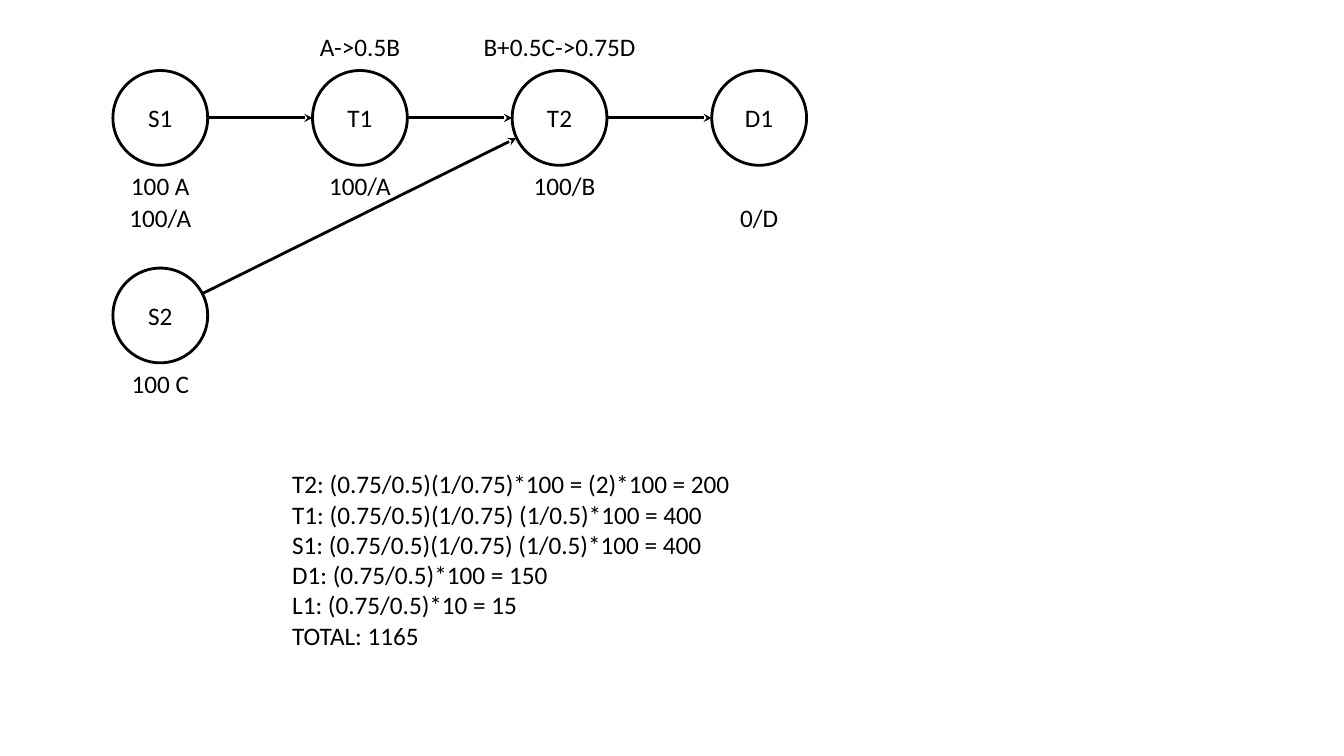
from pptx import Presentation
from pptx import util as u
from pptx.dml.color import RGBColor
from pptx.enum import shapes, text
from pptx.oxml.ns import qn
from lxml import etree

COLORS = {"ink": "000000", "paper": "FFFFFF"}
DIAMETER = 0.94
COLUMNS = [1.12 + 1.98 * column for column in range(4)]
TOP_ROW, BOTTOM_ROW = 0.7, 2.66
LABEL_HEIGHT = 0.4


class FlowSlide:
    font = {"name": "Calibri", "size": u.Pt(18)}
    line_width = u.Pt(2)

    def __init__(self, slide):
        self.slide = slide

    def color(self, name):
        return RGBColor.from_string(COLORS[name])

    def stroke(self, line):
        line.color.rgb = self.color("ink")
        line.width = self.line_width

    def set_text(self, shape, lines, align, anchor):
        frame = shape.text_frame
        settings = {"text": "\n".join(lines), "word_wrap": True, "vertical_anchor": anchor}
        for name, value in settings.items():
            setattr(frame, name, value)
        for paragraph in frame.paragraphs:
            paragraph.alignment = align
            for run in paragraph.runs:
                for name, value in self.font.items():
                    setattr(run.font, name, value)
                run.font.color.rgb = self.color("ink")

    def node(self, name, left, top):
        shape = self.slide.shapes.add_shape(
            shapes.MSO_SHAPE.OVAL, *map(u.Inches, (left, top, DIAMETER, DIAMETER)))
        shape.shadow.inherit = False
        shape.fill.solid()
        shape.fill.fore_color.rgb = self.color("paper")
        self.stroke(shape.line)
        self.set_text(shape, [name], text.PP_ALIGN.CENTER, text.MSO_ANCHOR.MIDDLE)

    def arrow(self, *ends):
        connector = self.slide.shapes.add_connector(
            shapes.MSO_CONNECTOR.STRAIGHT, *map(u.Inches, ends))
        self.stroke(connector.line)
        properties = connector._element.spPr
        etree.SubElement(properties.find(qn("a:ln")), qn("a:tailEnd"), type="stealth")
        etree.SubElement(properties, qn("a:effectLst"))

    def label(self, lines, left, top, width, height=LABEL_HEIGHT,
              align=text.PP_ALIGN.CENTER):
        box = self.slide.shapes.add_textbox(*map(u.Inches, (left, top, width, height)))
        self.set_text(box, lines, align, text.MSO_ANCHOR.TOP)
        box.text_frame.auto_size = text.MSO_AUTO_SIZE.SHAPE_TO_FIT_TEXT


presentation = Presentation()
presentation.slide_width = u.Inches(13.33)
presentation.slide_height = u.Inches(7.5)
flow = FlowSlide(presentation.slides.add_slide(presentation.slide_layouts[6]))

middle = TOP_ROW + DIAMETER / 2
for start, end in zip(COLUMNS, COLUMNS[1:]):
    flow.arrow(start + DIAMETER, middle, end, middle)
flow.arrow(1.67, 3.08, 5.12, 1.37)

for name, left in zip(("S1", "T1", "T2", "D1"), COLUMNS):
    flow.node(name, left, TOP_ROW)
flow.node("S2", COLUMNS[0], BOTTOM_ROW)

below_top = TOP_ROW + DIAMETER
stock_row = 1.96
labels = [
    ("A->0.5B", 2.93, 0.26, 1.28),
    ("B+0.5C->0.75D", 4.63, 0.26, 1.84),
    ("100 A", COLUMNS[0], below_top, DIAMETER),
    ("100/A", COLUMNS[1], below_top, DIAMETER),
    ("100/B", 5.13, below_top, DIAMETER),
    ("100/A", COLUMNS[0], stock_row, DIAMETER),
    ("0/D", COLUMNS[3], stock_row, DIAMETER),
    ("100 C", COLUMNS[0], BOTTOM_ROW + DIAMETER, DIAMETER),
]
for caption, left, top, width in labels:
    flow.label([caption], left, top, width)

costs = [
    "T2: (0.75/0.5)(1/0.75)*100 = (2)*100 = 200",
    "T1: (0.75/0.5)(1/0.75) (1/0.5)*100 = 400",
    "S1: (0.75/0.5)(1/0.75) (1/0.5)*100 = 400",
    "D1: (0.75/0.5)*100 = 150",
    "L1: (0.75/0.5)*10 = 15",
    "TOTAL: 1165",
]
flow.label(costs, 2.8, 4.6, 5.2, 1.92, text.PP_ALIGN.LEFT)

presentation.save("out.pptx")
